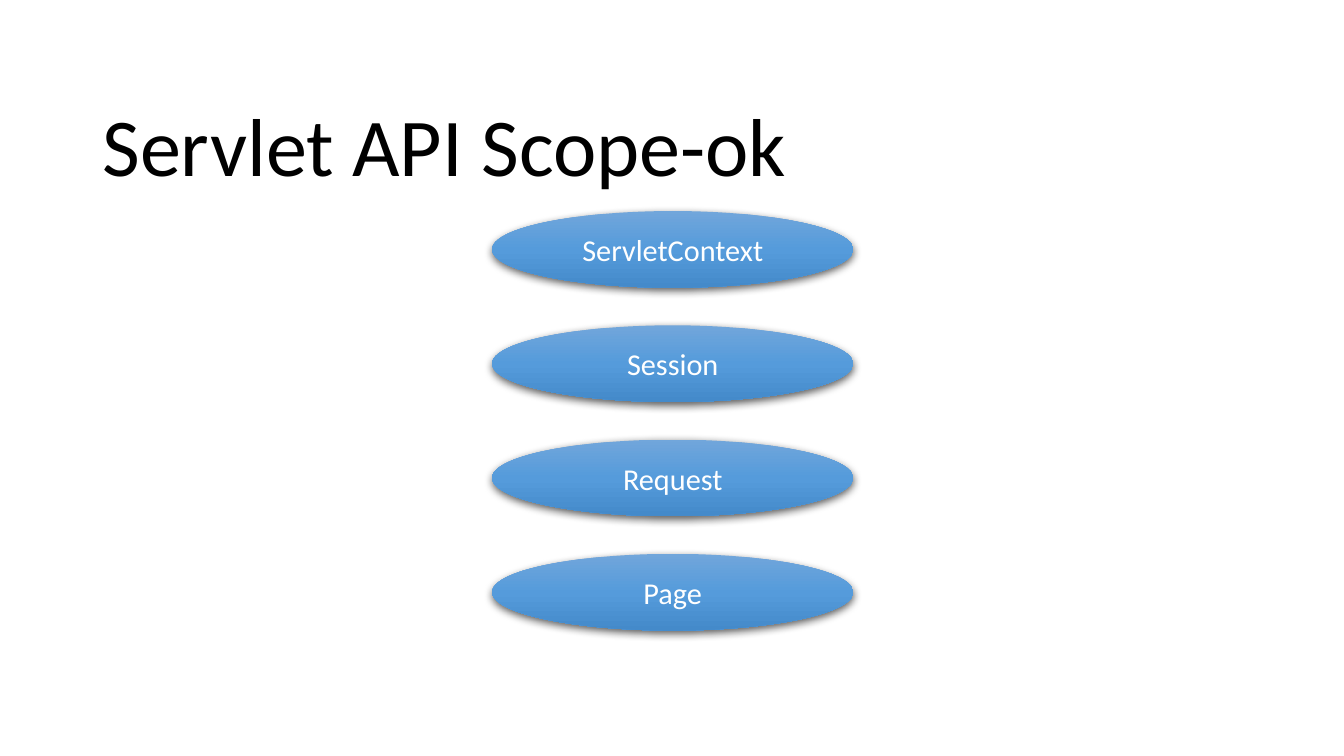
from copy import deepcopy

from lxml.etree import SubElement
from pptx import Presentation
from pptx.dml.color import RGBColor
from pptx.enum.shapes import MSO_SHAPE as Shape
from pptx.enum.text import MSO_ANCHOR as Anchor, PP_ALIGN as Align
from pptx.oxml.ns import qn
from pptx.util import Cm, Pt

SCOPES = ["ServletContext", "Session", "Request", "Page"]
GRADIENT = [(0, "71A6DB"), (0.5, "559BDB"), (1, "448ACA")]


def color(value):
    """Turn a hex string into a colour."""
    return RGBColor.from_string(value)


def write_text(box, text, size, hex_color, align):
    """Write one vertically centred line of Calibri into a shape."""
    frame = box.text_frame
    frame.text = text
    frame.word_wrap = True
    frame.vertical_anchor = Anchor.MIDDLE
    para = frame.paragraphs[0]
    para.alignment = align
    font = para.runs[0].font
    font.name = "Calibri"
    font.size = Pt(size)
    font.color.rgb = color(hex_color)
    return para


def add_title(page, text):
    """Place and fill the title placeholder."""
    title = page.shapes.title
    title.left, title.top = Cm(1.68), Cm(1.45)
    title.width, title.height = Cm(21.89), Cm(2.77)
    para = write_text(title, text, 44, "000000", Align.LEFT)
    para.line_spacing = 0.9


def fill_gradient(shape):
    """Fill a shape with the three-stop gradient from top to bottom."""
    shape.fill.gradient()
    shape.fill.gradient_angle = 270
    stop_list = shape._element.spPr.find(".//" + qn("a:gsLst"))
    stop_list.append(deepcopy(stop_list[0]))
    for stop, (position, hex_color) in zip(shape.fill.gradient_stops, GRADIENT):
        stop.position = position
        stop.color.rgb = color(hex_color)


def add_shadow(shape):
    """Give a shape a soft black shadow below it."""
    shape.shadow.inherit = False
    effects = shape._element.spPr.find(qn("a:effectLst"))
    shadow = SubElement(effects, qn("a:outerShdw"), blurRad=str(Pt(4.5)),
                        dist=str(Pt(1.5)), dir="5400000", algn="ctr", rotWithShape="0")
    black = SubElement(shadow, qn("a:srgbClr"), val="000000")
    SubElement(black, qn("a:alpha"), val="63000")


def add_scope(page, text, top):
    """Draw one scope as a labelled ellipse."""
    ellipse = page.shapes.add_shape(Shape.OVAL, Cm(9.3), top, Cm(6.83), Cm(1.45))
    fill_gradient(ellipse)
    ellipse.line.fill.background()
    add_shadow(ellipse)
    write_text(ellipse, text, 16.2, "FFFFFF", Align.CENTER)


def main():
    """Build the slide and save it."""
    deck = Presentation()
    deck.slide_width, deck.slide_height = Cm(25.4), Cm(14.29)
    page = deck.slides.add_slide(deck.slide_layouts[5])
    add_title(page, "Servlet API Scope-ok")
    for row, scope in enumerate(SCOPES):
        add_scope(page, scope, Cm(3.99 + 2.16 * row))
    deck.save("out.pptx")


if __name__ == "__main__":
    main()
